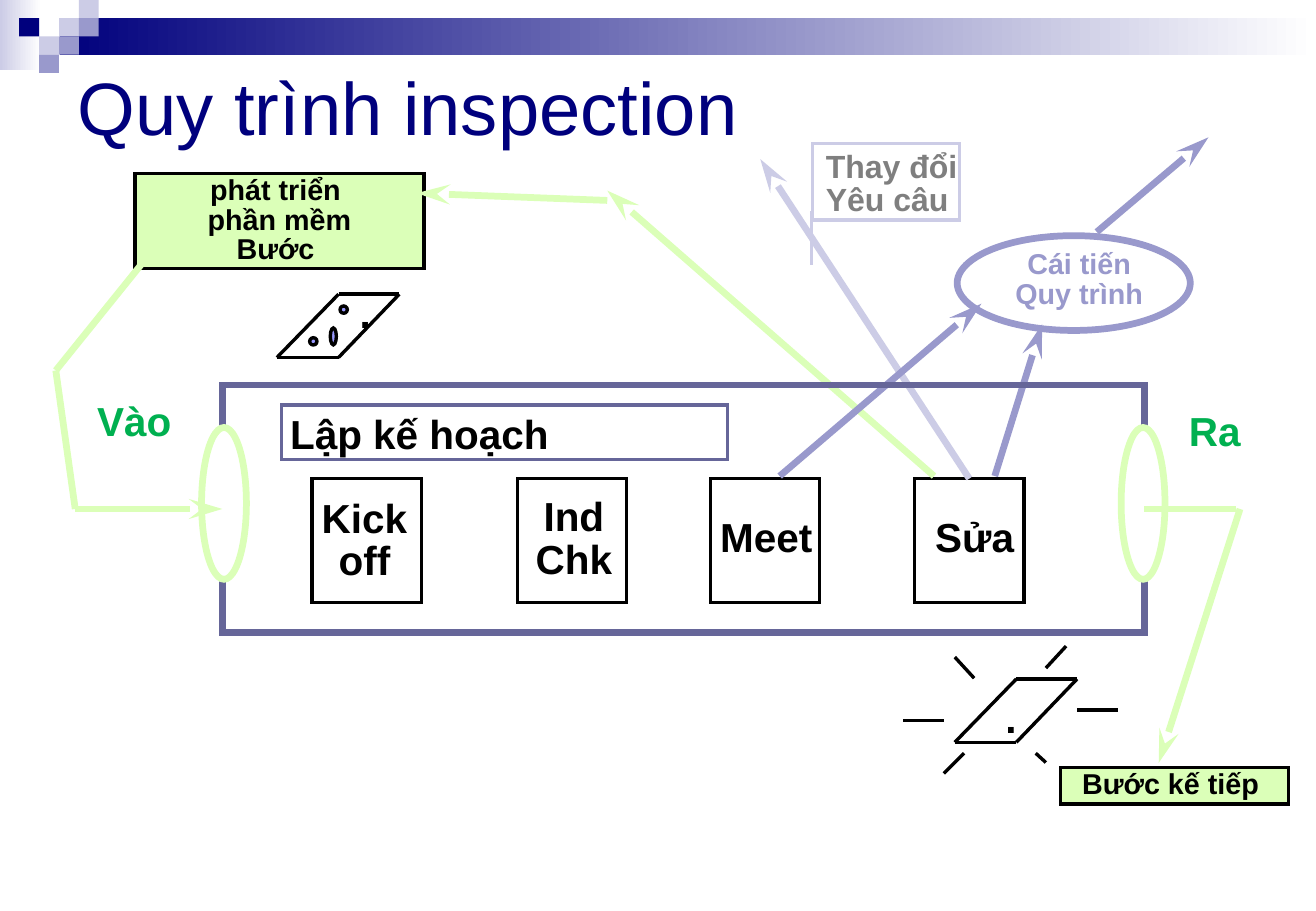
from dataclasses import dataclass
from itertools import pairwise
from typing import Optional

from lxml import etree
from pptx import Presentation
from pptx import util as u
from pptx.dml.color import RGBColor
from pptx.enum import shapes, text as t
from pptx.oxml import ns

Point = tuple[float, float]
Area = tuple[float, float, float, float]  # left, top, width, height
RECTANGLE, ELLIPSE = shapes.MSO_SHAPE.RECTANGLE, shapes.MSO_SHAPE.OVAL
TOP, LEFT, RIGHT = 0, 1, 3


@dataclass(frozen=True)
class Theme:
    font: str = "Arial"
    navy: str = "00007D"
    violet: str = "9999CC"
    lilac: str = "CCCCE6"
    slate: str = "666699"
    lime: str = "DBFFB8"
    green: str = "00B050"
    grey: str = "7F7F7F"
    spot: str = "9999FF"
    black: str = "000000"
    white: str = "FFFFFF"
    title_size: float = 44
    large: float = 24
    medium: float = 19
    small: float = 17
    thin: float = 2
    thick: float = 4


@dataclass(frozen=True)
class Square:
    column: int
    row: int
    color: str


@dataclass(frozen=True)
class Step:
    left: float
    name: str
    name_left: float
    name_top: float
    name_width: float
    centred: bool = False


THEME = Theme()

SQUARES = [
    Square(2, 1, THEME.lilac), Square(3, 0, THEME.lilac), Square(3, 1, THEME.violet),
    Square(1, 2, THEME.lilac), Square(0, 1, THEME.navy), Square(2, 2, THEME.violet),
    Square(1, 3, THEME.violet),
]
# A "\v" breaks a line within a paragraph, a "\n" starts a new paragraph
STEPS = [
    Step(185, "Kick\voff", 185.8, 293.8, 60.5, True),
    Step(306.7, "Ind\nChk", 312.5, 293, 55.5, True),
    Step(421.2, "Meet", 421.9, 305.3, 66),
    Step(542.2, "Sửa", 549.4, 305.3, 57),
]
RAYS = [
    ((620, 396), (632, 383)), ((638.5, 421), (662.5, 421)), ((614, 446.5), (620, 452)),
    ((571.5, 446.5), (559.5, 458.5)), ((559.5, 427), (535.5, 427)), ((577.5, 402), (566, 389.5)),
]
SPOTS = [(201.6, 181.4, 4.3, 4.3), (183.6, 200.2, 4.3, 4.3), (195.8, 194.4, 3.6, 10)]

presentation = Presentation()
presentation.slide_width = u.Pt(780.13)
presentation.slide_height = u.Pt(540)
slide = presentation.slides.add_slide(presentation.slide_layouts[6])


def write(shape, text: str, *, size: float = THEME.large, color: str = THEME.black,
          bold: bool = True, centred: bool = False, spacing: float = 0.87,
          margins: Area = (5, 2.2, 5, 2.2), anchor=t.MSO_ANCHOR.TOP) -> None:
    """Fill a shape with text in one format."""
    frame = shape.text_frame
    frame.word_wrap = True
    frame.vertical_anchor = anchor
    (frame.margin_left, frame.margin_top,
     frame.margin_right, frame.margin_bottom) = map(u.Pt, margins)
    frame.text = text
    for paragraph in frame.paragraphs:
        paragraph.alignment = t.PP_ALIGN.CENTER if centred else t.PP_ALIGN.LEFT
        paragraph.line_spacing = spacing
        for run in paragraph.runs:
            run.font.name, run.font.size, run.font.bold = THEME.font, u.Pt(size), bold
            run.font.color.rgb = RGBColor.from_string(color)


def label(left: float, top: float, width: float, text: str, *, centred: bool = False, **style) -> None:
    height = 29 * len(text.splitlines())
    box = slide.shapes.add_textbox(*map(u.Pt, (left, top, width, height)))
    write(box, text, centred=centred, margins=(0 if centred else 5, 2.2, 0, 2.2), **style)


def draw(kind, area: Area, *, fill: Optional[str] = None, line: Optional[str] = None,
         width: float = THEME.thin):
    shape = slide.shapes.add_shape(kind, *map(u.Pt, area))
    shape.shadow.inherit = False
    if fill:
        shape.fill.solid()
        shape.fill.fore_color.rgb = RGBColor.from_string(fill)
    else:
        shape.fill.background()
    if line:
        shape.line.color.rgb = RGBColor.from_string(line)
        shape.line.width = u.Pt(width)
        etree.SubElement(shape.line._get_or_add_ln(), ns.qn("a:miter"), lim="800000")
    else:
        shape.line.fill.background()
    return shape


def fade(area: Area, color: str) -> None:
    """Draw a band that fades to white on the right."""
    band = draw(RECTANGLE, area)
    band.fill.gradient()
    band.fill.gradient_angle = 0
    for stop, stop_color in zip(band.fill.gradient_stops, (color, THEME.white)):
        stop.color.rgb = RGBColor.from_string(stop_color)


def connect(start: Point, end: Point, color: str, width: float = THEME.thick, *, arrow: bool = False):
    connector = slide.shapes.add_connector(shapes.MSO_CONNECTOR.STRAIGHT, *map(u.Pt, start + end))
    connector.line.color.rgb = RGBColor.from_string(color)
    connector.line.width = u.Pt(width)
    if arrow:
        etree.SubElement(connector.line._get_or_add_ln(), ns.qn("a:tailEnd"),
                         type="stealth", w="med", len="lg")
    etree.SubElement(connector._element.spPr, ns.qn("a:effectLst"))
    return connector


def sheet(left: float, top: float, dot: Point) -> None:
    """Draw a slanted document with a full stop on it."""
    corners = [(left + x, top + y) for x, y in ((36.5, 0), (72.5, 0), (36.5, 37.5), (0, 37.5), (36.5, 0))]
    for start, end in pairwise(corners):
        connect(start, end, THEME.black, THEME.thin)
    label(left + dot[0], top + dot[1], 17, ".")


# Header band and squares
fade((0, 0, 24.5, 41.8), THEME.lilac)
fade((35.3, 10.8, 744.8, 21.6), THEME.navy)
for square in SQUARES:
    draw(RECTANGLE, (11.4 + 11.8 * square.column, 10.8 * square.row, 11.8, 10.8), fill=square.color)

# Title
title = slide.shapes.add_textbox(*map(u.Pt, (39, 8.6, 702, 108)))
write(title, "Quy trình inspection", size=THEME.title_size, color=THEME.navy, bold=False,
      spacing=1.0, margins=(7.2, 3.6, 7.2, 3.6), anchor=t.MSO_ANCHOR.MIDDLE)

# Development step and the two documents
development = draw(RECTANGLE, (80, 103, 171.4, 56.2), fill=THEME.lime, line=THEME.black)
write(development, "phát triển \nphần mềm\nBước ", size=THEME.small, centred=True, spacing=0.85)
sheet(164.2, 174.4, (44, -2))
for spot in SPOTS:
    draw(ELLIPSE, spot, fill=THEME.spot, line=THEME.black)
sheet(566, 402.5, (25, 10))
for start, end in RAYS:
    connect(start, end, THEME.black, THEME.thin)

# Planning bar and process steps
planning = draw(RECTANGLE, (167, 240, 264.3, 32.4), line=THEME.slate)
write(planning, "Lập kế hoạch", spacing=1.0)
step_boxes = {}
for step in STEPS:
    step_boxes[step.name] = draw(RECTANGLE, (step.left, 283.7, 64.8, 73.4), line=THEME.black)
    label(step.name_left, step.name_top, step.name_width, step.name, centred=step.centred)

# Feedback to development
connect((553.7, 282.2), (360, 113), THEME.lime, arrow=True)
connect((360, 118.8), (247, 114.5), THEME.lime, arrow=True)

# Change request
change = connect((574.6, 283.7), (450.7, 94.3), THEME.lilac, arrow=True)
change.begin_connect(step_boxes["Sửa"], TOP)
label(484.6, 87.8, 90, "Thay đổi\nYêu câu", size=THEME.medium, color=THEME.grey)
draw(RECTANGLE, (481.7, 85, 87.1, 45.4), line=THEME.lilac)
connect((481, 125.3), (481, 157), THEME.lilac, THEME.thin)

# Process improvement
label(596.9, 146.9, 85.7, "Cái tiến\nQuy trình", size=THEME.small, color=THEME.violet,
      centred=True, spacing=0.85)
draw(ELLIPSE, (567.4, 139.7, 138.2, 56.2), line=THEME.violet, width=THEME.thick)
for start, end in (((462.2, 282.2), (581.8, 180)), ((650.2, 137.5), (716.4, 81.4)),
                   ((589.7, 282.2), (617.8, 192.2))):
    connect(start, end, THEME.violet, arrow=True)

# Process frame and input
for start, end in pairwise([(84.2, 156.2), (33.1, 219.6), (44.6, 301.7)]):
    connect(start, end, THEME.lime)
process = draw(RECTANGLE, (131.8, 228.2, 546.5, 147), line=THEME.slate, width=THEME.thick)
draw(ELLIPSE, (119.5, 253.4, 26.6, 90), fill=THEME.white, line=THEME.lime, width=THEME.thick)
label(52.6, 236.2, 56, "Vào", color=THEME.green)
entry = connect((44.6, 301.7), (131.8, 301.7), THEME.lime, arrow=True)
entry.end_connect(process, LEFT)

# Output and next step
following = draw(RECTANGLE, (628.6, 455, 135.4, 21.6), fill=THEME.lime, line=THEME.black)
write(following, "Bước kế tiếp ", size=THEME.small, centred=True, spacing=0.85)
draw(ELLIPSE, (664.6, 253.4, 26, 90), fill=THEME.white, line=THEME.lime, width=THEME.thick)
connect((735.1, 301.7), (686.9, 452.2), THEME.lime, arrow=True)
label(699.8, 242.6, 64, "Ra", color=THEME.green)
way_out = connect((678.3, 301.7), (733, 301.7), THEME.lime)
way_out.begin_connect(process, RIGHT)

presentation.save("out.pptx")
